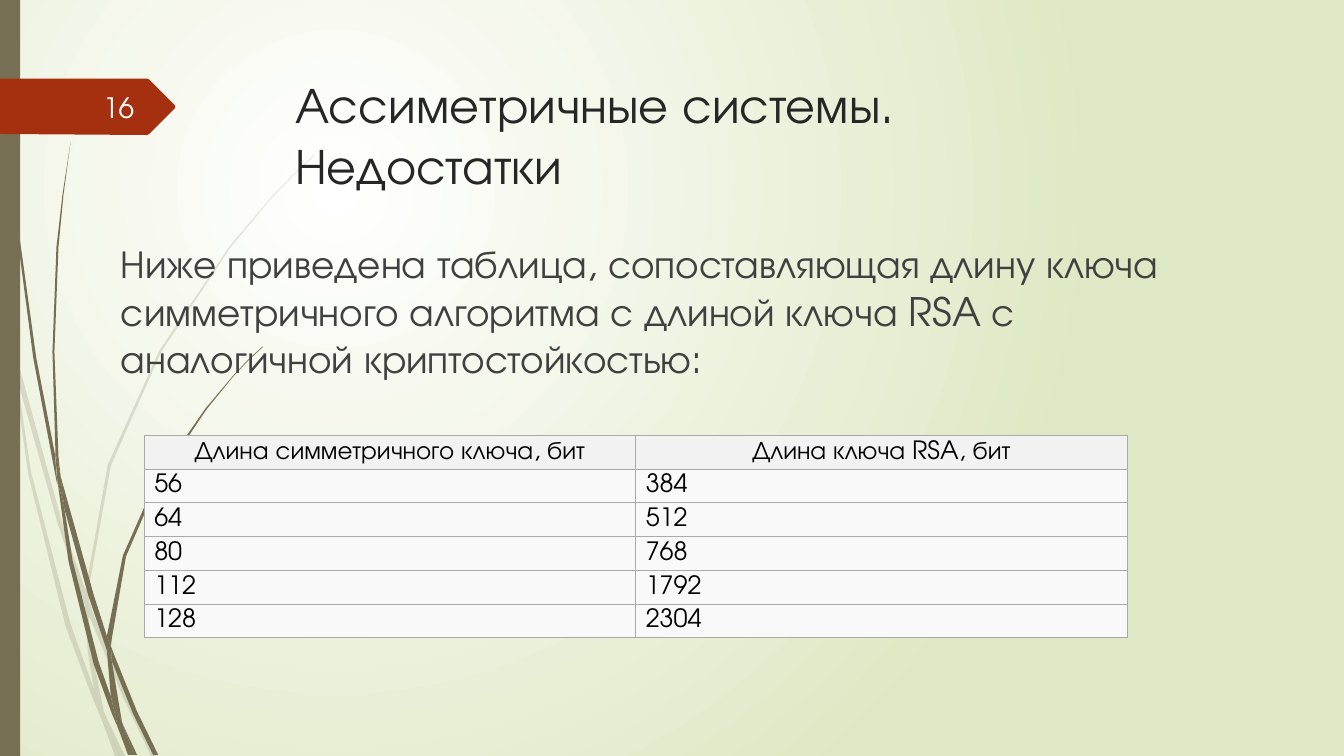
from lxml import etree
from pptx import Presentation
from pptx.dml.color import RGBColor
from pptx.enum import shapes, text
from pptx.oxml import ns
from pptx.util import Inches, Pt

TITLE = "Ассиметричные системы.\vНедостатки"
NUMBER = "16"
INTRO = ("Ниже приведена таблица, сопоставляющая длину ключа симметричного "
         "алгоритма с длиной ключа RSA с аналогичной криптостойкостью:")
KEY_LENGTHS = [
    ("Длина симметричного ключа, бит", "Длина ключа RSA, бит"),
    ("56", "384"),
    ("64", "512"),
    ("80", "768"),
    ("112", "1792"),
    ("128", "2304"),
]

# Outlines in inches: each blade of grass is a closed run of points.
PALE_GRASS = [
    [(.58, 5.22), (.84, 5.99), (.85, 5.86), (.62, 5.2), (.14, 3.45), (.17, 3.76)],
    [(.92, 6.07), (.88, 5.96), (.88, 6.1), (1.23, 6.94), (1.5, 7.5), (1.55, 7.5),
     (1.27, 6.92)],
    [(1.19, 7.5), (1.24, 7.5), (1.05, 7.11)],
    [(.93, 6.83), (.7, 6.19), (.31, 4.69), (.17, 3.76), (.11, 3.5), (.28, 4.7),
     (.65, 6.21), (.92, 6.93), (1.01, 7.14), (.99, 7.07)],
    [(.84, 5.99), (.87, 6.46), (.93, 6.83), (.96, 6.92), (1.05, 7.11), (1.03, 7.06),
     (.91, 6.46), (.88, 6.1), (.88, 6.08)],
    [(.88, 5.84), (1.1, 4.62), (1.6, 3.49), (2.29, 2.45), (2.68, 1.98), (2.9, 1.75),
     (3.12, 1.54), (3.12, 1.53), (2.89, 1.75), (2.68, 1.97), (2.28, 2.44),
     (1.58, 3.48), (1.07, 4.61), (.85, 5.84), (.85, 5.86), (.88, 5.96)],
    [(1.01, 7.14), (1.14, 7.5), (1.19, 7.5)],
    [(.88, 6.08), (.88, 6.1), (.88, 5.96), (.85, 5.86), (.84, 5.99)],
    [(.96, 6.92), (.93, 6.83), (.99, 7.07), (1.01, 7.14), (1.19, 7.5), (1.05, 7.11)],
]
DARK_GRASS = [
    [(.07, 1.1), (.17, 2.33), (.33, 3.55), (.56, 4.77), (.57, 4.81), (.55, 4.57),
     (.55, 4.53), (.36, 3.55), (.19, 2.32), (.08, 1.09), (.05, .48), (.04, 0),
     (.03, 0), (.04, .48)],
    [(.88, 5.92), (1.06, 6.45), (1.06, 6.33), (1.06, 6.31), (.93, 5.9), (.6, 4.72),
     (.64, 5.05)],
    [(1.13, 6.49), (1.1, 6.41), (1.11, 6.56), (1.32, 7.08), (1.52, 7.49),
     (1.57, 7.49), (1.36, 7.06)],
    [(1.1, 6.91), (.98, 6.57), (.72, 5.56), (.64, 5.05), (.57, 4.77), (.68, 5.57),
     (.93, 6.59), (1.11, 7.08), (1.17, 7.22), (1.16, 7.17)],
    [(.6, 4.72), (.58, 4.53), (.54, 3.49), (.58, 2.45), (.63, 1.93), (.7, 1.41),
     (.62, 1.93), (.56, 2.45), (.52, 3.49), (.55, 4.49)],
    [(1.33, 7.49), (1.36, 7.49), (1.22, 7.19)],
    [(.57, 4.77), (.64, 5.05), (.6, 4.72), (.55, 4.49), (.55, 4.53)],
    [(1.11, 6.33), (1.25, 5.52), (1.58, 4.76), (2.05, 4.06), (2.31, 3.74),
     (2.45, 3.59), (2.61, 3.44), (2.6, 3.44), (2.45, 3.58), (2.31, 3.73),
     (2.04, 4.05), (1.56, 4.74), (1.22, 5.51), (1.06, 6.31), (1.1, 6.41)],
    [(1.17, 7.22), (1.27, 7.49), (1.31, 7.49)],
    [(1.06, 6.45), (1.1, 6.91), (1.16, 7.06), (1.22, 7.19), (1.21, 7.16),
     (1.11, 6.56), (1.09, 6.51)],
    [(1.06, 6.45), (1.09, 6.51), (1.11, 6.56), (1.1, 6.41), (1.06, 6.31), (1.06, 6.33)],
    [(1.16, 7.06), (1.1, 6.91), (1.16, 7.17), (1.17, 7.22), (1.3, 7.49),
     (1.33, 7.49), (1.22, 7.19)],
]
NUMBER_TAG = [(1.73, 1.08), (1.48, 1.33), (1.46, 1.34), (0, 1.33), (0, .78),
              (1.46, .78), (1.48, .79), (1.73, 1.04), (1.74, 1.06)]

THEME = {
    "font": "TeX Gyre Adventor",
    "glow": "FFFFFF", "field": "DFE8C4", "grass": "766F54", "tag": "A53010",
    "header": "F2F2F2", "row": "F9F9F9", "border": "AAAAAA",
    "title": (36, "262626"), "number": (20, "FEFFFF"),
    "intro": (28, "404040"), "cell": (18, "000000"),
}


def colour(name):
    return RGBColor.from_string(THEME[name])


def add_xml(parent, tag, **attributes):
    return etree.SubElement(parent, ns.qn(tag), attributes)


def paint(shape, name, opacity=100):
    shape.shadow.inherit = False
    shape.fill.solid()
    shape.fill.fore_color.rgb = colour(name)
    shape.line.fill.background()
    if opacity < 100:
        tint = shape.element.spPr.find(".//" + ns.qn("a:srgbClr"))
        add_xml(tint, "a:alpha", val=str(opacity * 1000))


def add_outline(parent, points, name, opacity=100):
    start, *others = [(Inches(x), Inches(y)) for x, y in points]
    pen = parent.shapes.build_freeform(*start)
    pen.add_line_segments(others, close=True)
    paint(pen.convert_to_shape(), name, opacity)


def write(frame, words, style, align=text.PP_ALIGN.LEFT, **frame_format):
    """Fill a text frame with one paragraph in a style of the theme."""
    frame.text = words
    for key, value in {"word_wrap": True, **frame_format}.items():
        setattr(frame, key, value)
    para = frame.paragraphs[0]
    para.alignment = align
    size, ink = THEME[style]
    for span in para.runs:
        span.font.name, span.font.size = THEME["font"], Pt(size)
        span.font.color.rgb = RGBColor.from_string(ink)
    return para


def place(shape, *bounds):
    for key, value in zip(("left", "top", "width", "height"), bounds):
        setattr(shape, key, Inches(value))


def add_box(page, *bounds):
    return page.shapes.add_textbox(*map(Inches, bounds)).text_frame


def set_background(page):
    fill = page.background.fill
    fill.gradient()
    for stop, name in zip(fill.gradient_stops, ("glow", "field")):
        stop.color.rgb = colour(name)
    line = page.element.find(".//" + ns.qn("a:lin"))
    gradient = line.getparent()
    gradient.remove(line)
    circle = add_xml(gradient, "a:path", path="circle")
    add_xml(circle, "a:fillToRect", l="50000", t="50000", r="100000", b="100000")


def add_borders(cell):
    properties = cell._tc.get_or_add_tcPr()
    for index, side in enumerate(("lnL", "lnR", "lnT", "lnB")):
        border = add_xml(properties, "a:" + side, w=str(Pt(0.75)))
        add_xml(add_xml(border, "a:solidFill"), "a:srgbClr", val=THEME["border"])
        properties.insert(index, border)


def add_key_table(page):
    row_height, columns = 0.335, len(KEY_LENGTHS[0])
    frame = page.shapes.add_table(
        len(KEY_LENGTHS), columns, Inches(1.43), Inches(4.32),
        Inches(9.75), Inches(row_height * len(KEY_LENGTHS)))
    table = frame.table
    table.first_row = table.horz_banding = False
    for row, values in enumerate(KEY_LENGTHS):
        header = row == 0
        for column, value in enumerate(values):
            cell = table.cell(row, column)
            cell.margin_top = cell.margin_bottom = 0
            cell.vertical_anchor = text.MSO_ANCHOR.MIDDLE
            cell.fill.solid()
            cell.fill.fore_color.rgb = colour("header" if header else "row")
            write(cell.text_frame, value, "cell",
                  text.PP_ALIGN.CENTER if header else text.PP_ALIGN.LEFT)
            add_borders(cell)


def main():
    deck = Presentation()
    deck.slide_width, deck.slide_height = Inches(13.33), Inches(7.5)
    page = deck.slides.add_slide(deck.slide_layouts[5])
    set_background(page)

    for blades, opacity in ((PALE_GRASS, 20), (DARK_GRASS, 100)):
        group = page.shapes.add_group_shape()
        for blade in blades:
            add_outline(group, blade, "grass", opacity)
    stripe = page.shapes.add_shape(
        shapes.MSO_SHAPE.RECTANGLE, 0, 0, Inches(0.2), deck.slide_height)
    paint(stripe, "grass")
    add_outline(page, NUMBER_TAG, "tag")

    title = page.shapes.title
    title.element.getparent().append(title.element)  # bring in front of the grass
    place(title, 2.83, 0.68, 9.75, 1.4)
    write(title.text_frame, TITLE, "title", vertical_anchor=text.MSO_ANCHOR.TOP,
          auto_size=text.MSO_AUTO_SIZE.NONE)
    write(add_box(page, 0.58, 0.86, 0.85, 0.4), NUMBER, "number",
          text.PP_ALIGN.RIGHT, vertical_anchor=text.MSO_ANCHOR.MIDDLE)
    intro = write(add_box(page, 1.1, 2.33, 10.61, 4.94), INTRO, "intro")
    intro.space_before = Pt(10)
    add_key_table(page)
    deck.save("out.pptx")


if __name__ == "__main__":
    main()
